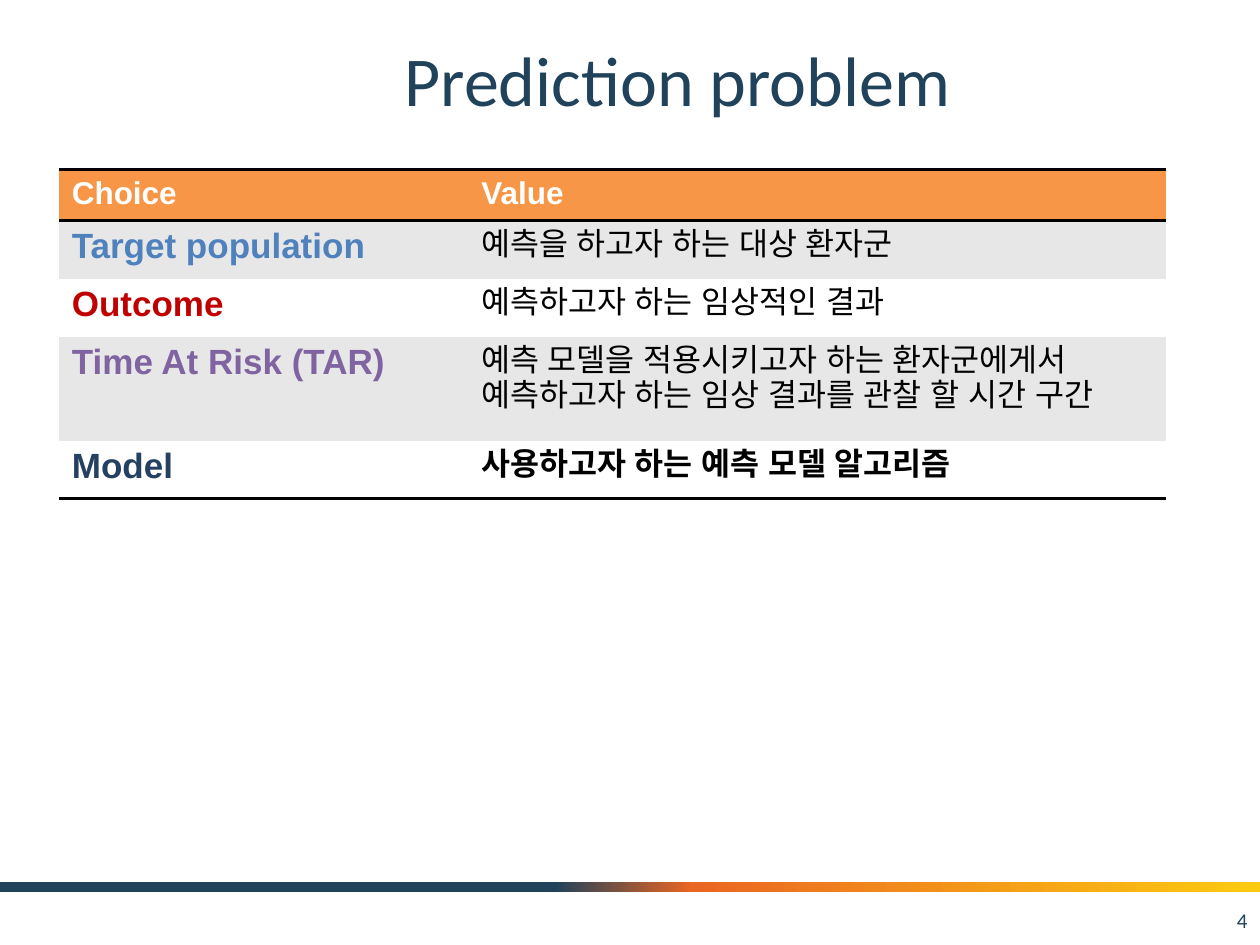
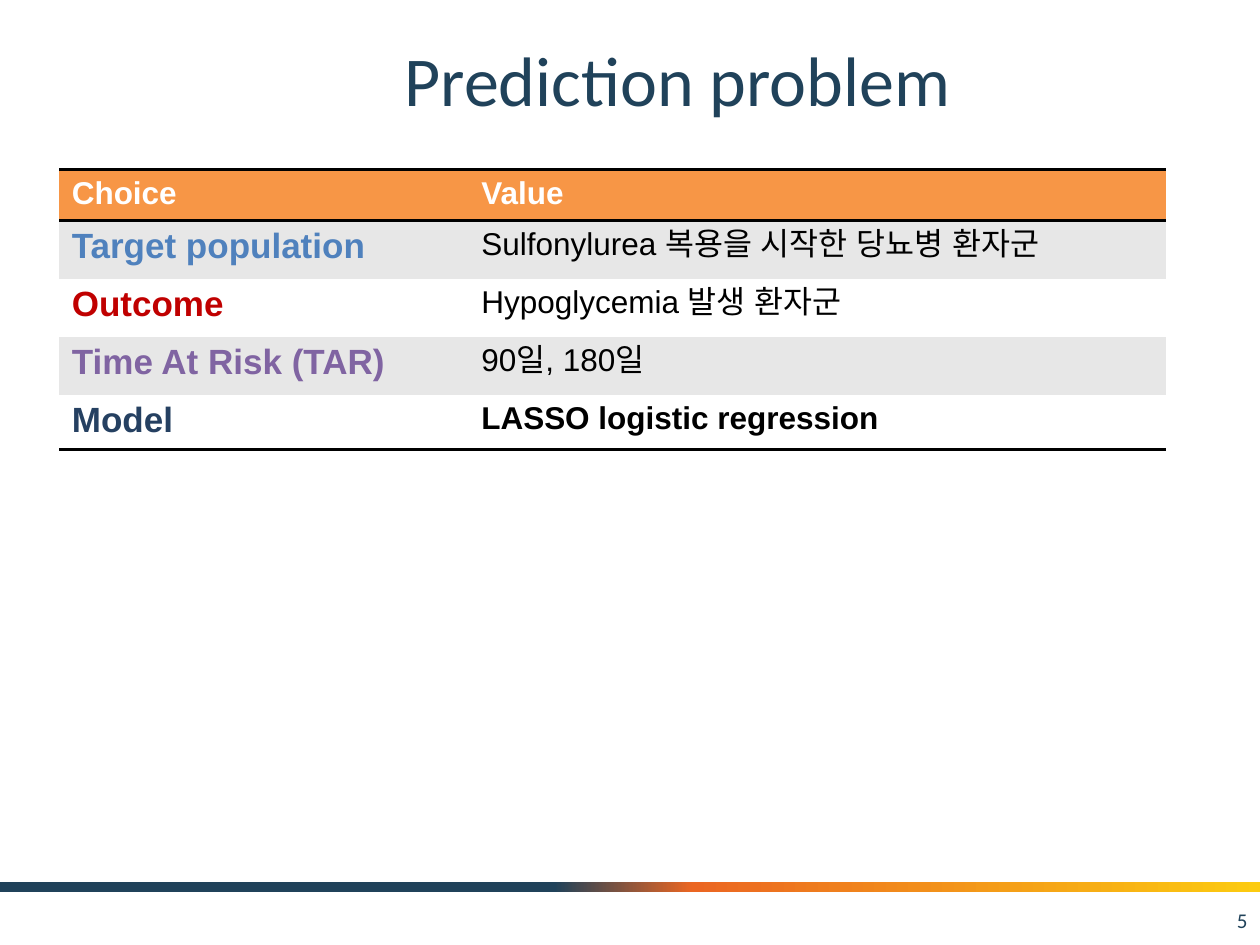
from dataclasses import dataclass

from lxml.etree import SubElement
from pptx import Presentation
from pptx.dml.color import RGBColor
from pptx.enum.shapes import MSO_SHAPE
from pptx.enum.text import MSO_ANCHOR, PP_ALIGN
from pptx.oxml import parse_xml
from pptx.oxml.ns import nsdecls, qn
from pptx.util import Inches, Pt

# Shared look
WIDTH, HEIGHT = Inches(10), Inches(7.5)
NAVY, ORANGE, STRIPE = "20425A", "F79646", "E7E7E7"
WHITE, BLACK = "FFFFFF", "000000"
BAND_STOPS = ((0, NAVY), (44, NAVY), (55, "EB6622"), (100, "FCCB10"))
PLAIN_TABLE_STYLE = "{2D5ABB26-0587-4C30-8999-92F81FD0307C}"
BORDER_POINTS = 2

# Table grid in percent of the slide
COLUMN_SHARES = (32.5, 55.3)
LATIN_ROW, KOREAN_ROW, TWO_LINE_ROW = 5.45, 6.14, 11.01


@dataclass(frozen=True)
class Area:
    """A rectangle in percent of the slide's width and height."""
    left: float
    top: float
    width: float
    height: float

    def box(self) -> tuple[int, int, int, int]:
        return (across(self.left), down(self.top),
                across(self.width), down(self.height))


@dataclass(frozen=True)
class TextStyle:
    size: int
    color: str
    font: str = "Arial"
    bold: bool = False
    align: PP_ALIGN = PP_ALIGN.LEFT


@dataclass(frozen=True)
class Choice:
    label: str
    color: str
    bold_value: bool = False


@dataclass(frozen=True)
class Value:
    text: str
    row_share: float = KOREAN_ROW


BAND_AREA = Area(0, 93.33, 100, 1.07)
TITLE_AREA = Area(12.5, 2.2, 82.5, 12.27)
NUMBER_AREA = Area(76.7, 94.67, 23.3, 5.33)
TABLE_LEFT, TABLE_TOP = 4.7, 17.9

TITLE_STYLE = TextStyle(40, NAVY, "Calibri", align=PP_ALIGN.CENTER)
NUMBER_STYLE = TextStyle(12, NAVY, "Calibri", align=PP_ALIGN.RIGHT)
HEADER_STYLE = TextStyle(18, WHITE, bold=True)

HEADERS = ("Choice", "Value")
CHOICES = (
    Choice("Target population", "4F81BD"),
    Choice("Outcome", "C00000"),
    Choice("Time At Risk (TAR)", "8064A2"),
    Choice("Model", "254061", bold_value=True),
)

# Values of each slide, by slide number
PAGES = {
    4: (
        Value("예측을 하고자 하는 대상 환자군"),
        Value("예측하고자 하는 임상적인 결과"),
        Value("예측 모델을 적용시키고자 하는 환자군에게서 "
              "예측하고자 하는 임상 결과를 관찰 할 시간 구간", TWO_LINE_ROW),
        Value("사용하고자 하는 예측 모델 알고리즘"),
    ),
    5: (
        Value("Sulfonylurea 복용을 시작한 당뇨병 환자군"),
        Value("Hypoglycemia 발생 환자군"),
        Value("90일, 180일"),
        Value("LASSO logistic regression", LATIN_ROW),
    ),
}


def across(share: float) -> int:
    return round(WIDTH * share / 100)


def down(share: float) -> int:
    return round(HEIGHT * share / 100)


def rgb(color: str) -> RGBColor:
    return RGBColor.from_string(color)


def write(frame, text: str, style: TextStyle) -> None:
    para = frame.paragraphs[0]
    para.text = text
    para.alignment = style.align
    font = para.font
    font.name = style.font
    font.size = Pt(style.size)
    font.bold = style.bold
    font.color.rgb = rgb(style.color)
    # Use the same font for Korean letters and the spaces between them
    SubElement(font._element, qn("a:ea"), typeface=style.font)


def add_text(page, area: Area, text: str, style: TextStyle) -> None:
    frame = page.shapes.add_textbox(*area.box()).text_frame
    frame.word_wrap = True
    frame.vertical_anchor = MSO_ANCHOR.MIDDLE
    write(frame, text, style)


def add_band(page) -> None:
    band = page.shapes.add_shape(MSO_SHAPE.RECTANGLE, *BAND_AREA.box())
    band.shadow.inherit = False
    band.line.fill.background()
    band.fill.gradient()
    band.fill.gradient_angle = 0
    # Replace the preset stops with the four of the band
    stop_list = band._element.spPr.find(qn("a:gradFill")).find(qn("a:gsLst"))
    for stop in list(stop_list):
        stop_list.remove(stop)
    for position, color in BAND_STOPS:
        stop = SubElement(stop_list, qn("a:gs"), pos=str(position * 1000))
        SubElement(stop, qn("a:srgbClr"), val=color)


def add_borders(cell, *sides: str) -> None:
    """Draw black rules on the given sides, listed as T then B."""
    for index, side in enumerate(sides):
        rule = parse_xml(
            f'<a:ln{side} {nsdecls("a")} w="{Pt(BORDER_POINTS)}">'
            f'<a:solidFill><a:srgbClr val="{BLACK}"/></a:solidFill></a:ln{side}>')
        cell._tc.get_or_add_tcPr().insert(index, rule)


def add_choice_table(page, values: tuple[Value, ...]) -> None:
    rows = [tuple((text, HEADER_STYLE) for text in HEADERS)]
    for choice, value in zip(CHOICES, values):
        rows.append((
            (choice.label, TextStyle(20, choice.color, bold=True)),
            (value.text, TextStyle(18, BLACK, bold=choice.bold_value)),
        ))
    row_shares = [LATIN_ROW] + [value.row_share for value in values]

    area = Area(TABLE_LEFT, TABLE_TOP, sum(COLUMN_SHARES), sum(row_shares))
    table = page.shapes.add_table(len(rows), len(HEADERS), *area.box()).table
    table.first_row = table.horz_banding = False
    table._tbl.tblPr.find(qn("a:tableStyleId")).text = PLAIN_TABLE_STYLE
    for column, share in zip(table.columns, COLUMN_SHARES):
        column.width = across(share)

    for row_index, (row, share) in enumerate(zip(rows, row_shares)):
        table.rows[row_index].height = down(share)
        fill = ORANGE if row_index == 0 else STRIPE if row_index % 2 else WHITE
        for column_index, (text, style) in enumerate(row):
            cell = table.cell(row_index, column_index)
            cell.fill.solid()
            cell.fill.fore_color.rgb = rgb(fill)
            write(cell.text_frame, text, style)
            if row_index == 0:
                add_borders(cell, "T", "B")
            elif row_index == len(rows) - 1:
                add_borders(cell, "B")


def main() -> None:
    deck = Presentation()
    deck.slide_width, deck.slide_height = WIDTH, HEIGHT
    blank = deck.slide_layouts[6]
    for number, values in PAGES.items():
        page = deck.slides.add_slide(blank)
        add_band(page)
        add_text(page, TITLE_AREA, "Prediction problem", TITLE_STYLE)
        add_text(page, NUMBER_AREA, str(number), NUMBER_STYLE)
        add_choice_table(page, values)
    deck.save("out.pptx")


if __name__ == "__main__":
    main()
